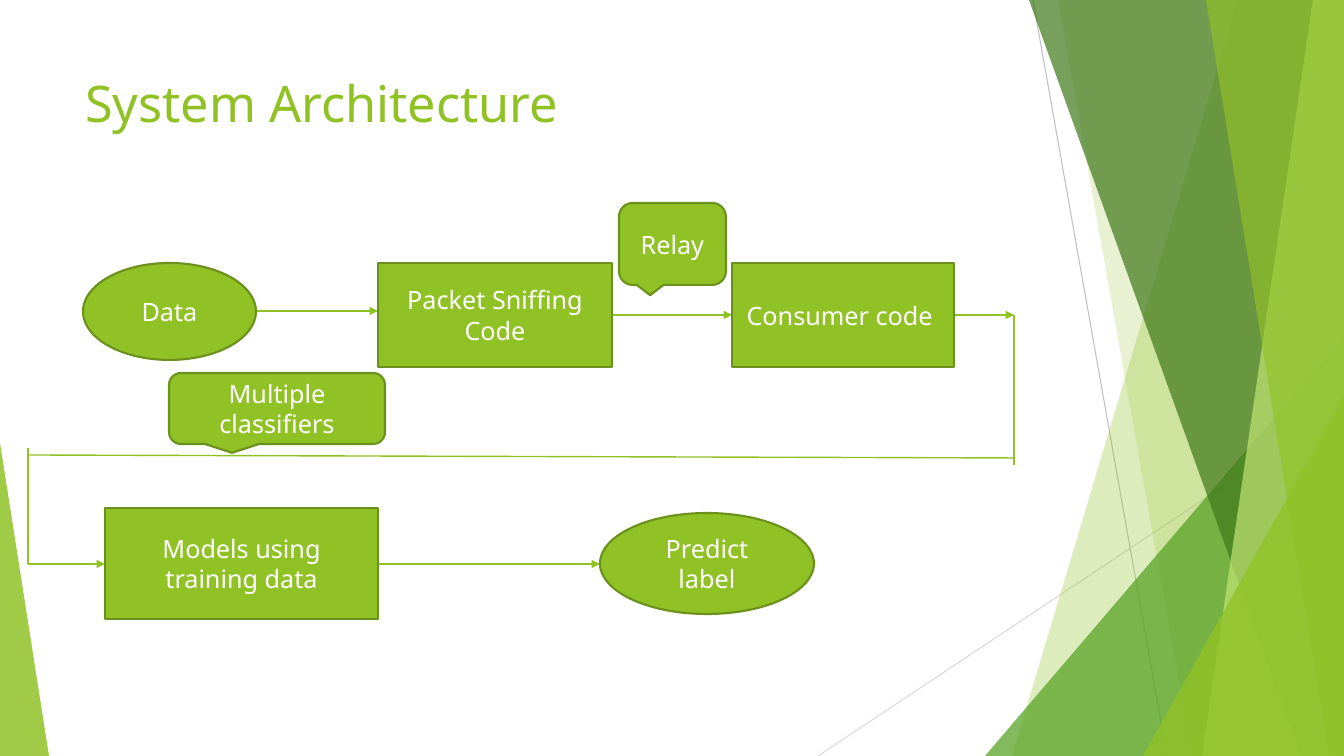
"""Build the System Architecture slide: a data flow over green facets."""
from dataclasses import dataclass

from pptx import Presentation
from pptx.dml.color import RGBColor
from pptx.enum.shapes import MSO_CONNECTOR, MSO_SHAPE
from pptx.enum.text import MSO_ANCHOR, PP_ALIGN
from pptx.oxml.ns import qn
from pptx.oxml.xmlchemy import OxmlElement
from pptx.shapes.autoshape import Shape
from pptx.text.text import _Paragraph as Para
from pptx.util import Emu, Pt

WIDE, HIGH = 1344, 756
SCALE = 12192000 / WIDE
FONT = "Noto Sans"
WHITE = RGBColor(0xFF, 0xFF, 0xFF)
LIME = RGBColor(0x90, 0xC2, 0x26)
OLIVE = RGBColor(0x6B, 0x90, 0x1C)
GREEN = RGBColor(0x54, 0xA0, 0x21)
FOREST = RGBColor(0x3F, 0x78, 0x19)
PALE = RGBColor(0xC0, 0xE4, 0x74)
GREY = RGBColor(0xBF, 0xBF, 0xBF)
SILVER = RGBColor(0xD9, 0xD9, 0xD9)


@dataclass
class Box:
    left: int
    top: int
    width: int
    height: int

    def emu(self) -> list[Emu]:
        return [px(n) for n in (self.left, self.top, self.width, self.height)]


@dataclass
class Band:
    top: int
    base: int
    color: RGBColor
    alpha: int


@dataclass
class Wedge:
    box: Box
    peak: int
    color: RGBColor
    alpha: int


@dataclass
class Node:
    text: str
    kind: MSO_SHAPE
    box: Box


@dataclass
class Link:
    start: tuple[int, int]
    end: tuple[int, int]
    arrow: bool = False
    color: RGBColor = LIME
    width: float = 1


def px(count: int) -> Emu:
    return Emu(round(count * SCALE))


def style(para: Para, size: int, color: RGBColor, align: PP_ALIGN) -> None:
    para.alignment = align
    para.font.name = FONT
    para.font.size = Pt(size)
    para.font.color.rgb = color


def tint(shape: Shape, color: RGBColor, alpha: int) -> None:
    shape.shadow.inherit = False
    shape.line.fill.background()
    shape.fill.solid()
    shape.fill.fore_color.rgb = color
    mark = OxmlElement("a:alpha")
    mark.set("val", str(alpha * 1000))
    shape.element.spPr.find(".//" + qn("a:srgbClr")).append(mark)


def draw_band(band: Band) -> None:
    pen = shapes.build_freeform(band.top, 0, SCALE)
    pen.add_line_segments([(WIDE, 0), (WIDE, HIGH), (band.base, HIGH)])
    tint(pen.convert_to_shape(), band.color, band.alpha)


def draw_wedge(wedge: Wedge) -> None:
    shape = shapes.add_shape(MSO_SHAPE.ISOSCELES_TRIANGLE, *wedge.box.emu())
    shape.adjustments[0] = wedge.peak
    tint(shape, wedge.color, wedge.alpha)


def draw_node(node: Node) -> None:
    shape = shapes.add_shape(node.kind, *node.box.emu())
    shape.shadow.inherit = False
    shape.fill.solid()
    shape.fill.fore_color.rgb = LIME
    shape.line.color.rgb = OLIVE
    shape.line.width = Pt(1.5)
    frame = shape.text_frame
    frame.text = node.text
    frame.word_wrap = True
    frame.vertical_anchor = MSO_ANCHOR.MIDDLE
    style(frame.paragraphs[0], 18, WHITE, PP_ALIGN.CENTER)


def draw_link(link: Link) -> None:
    ends = [px(n) for n in link.start + link.end]
    line = shapes.add_connector(MSO_CONNECTOR.STRAIGHT, *ends)
    line.line.color.rgb = link.color
    line.line.width = Pt(link.width)
    if link.arrow:
        head = OxmlElement("a:tailEnd")
        head.set("type", "triangle")
        line.get_or_add_ln().append(head)
    line.element.spPr.append(OxmlElement("a:effectLst"))


RAYS = [
    Link((1033, 0), (1167, HIGH), color=GREY, width=0.75),
    Link((WIDE, 406), (818, HIGH), color=SILVER, width=0.75),
]
FACETS = [
    Band(1238, 1012, LIME, 30),
    Band(1058, 1192, LIME, 20),
    Wedge(Box(985, 336, 359, 420), 1, GREEN, 72),
    Band(1029, 1301, FOREST, 70),
    Band(1313, 1202, PALE, 70),
    Band(1206, 1329, LIME, 65),
    Wedge(Box(1143, 396, 201, 360), 1, LIME, 80),
    Wedge(Box(0, 443, 49, 313), 0, LIME, 85),
]
OVAL, RECT = MSO_SHAPE.OVAL, MSO_SHAPE.RECTANGLE
NOTE = MSO_SHAPE.ROUNDED_RECTANGULAR_CALLOUT
NODES = [
    Node("Data", OVAL, Box(83, 263, 173, 97)),
    Node("Predict label", OVAL, Box(600, 513, 214, 101)),
    Node("Packet Sniffing Code", RECT, Box(378, 263, 234, 104)),
    Node("Consumer code ", RECT, Box(732, 263, 222, 104)),
    Node("Models using training data", RECT, Box(105, 508, 273, 111)),
    Node("Relay", NOTE, Box(619, 203, 107, 82)),
    Node("Multiple classifiers", NOTE, Box(169, 373, 216, 71)),
]
LINKS = [
    Link((256, 311), (378, 311), True),
    Link((612, 315), (732, 315), True),
    Link((378, 564), (600, 564), True),
    Link((954, 315), (1014, 315), True),
    Link((28, 564), (105, 564), True),
    Link((1014, 315), (1014, 465)),
    Link((28, 564), (28, 448)),
    Link((28, 455), (1014, 458)),
]

deck = Presentation()
deck.slide_width, deck.slide_height = px(WIDE), px(HIGH)
slide = deck.slides.add_slide(deck.slide_layouts[5])
shapes = slide.shapes

for ray in RAYS:
    draw_link(ray)
for facet in FACETS:
    if isinstance(facet, Band):
        draw_band(facet)
    else:
        draw_wedge(facet)
for link in LINKS:
    draw_link(link)
for node in NODES:
    draw_node(node)

title = shapes.title
title.left, title.top, title.width, title.height = Box(75, 67, 948, 145).emu()
title.text_frame.text = "System Architecture"
title.text_frame.vertical_anchor = MSO_ANCHOR.TOP
style(title.text_frame.paragraphs[0], 36, LIME, PP_ALIGN.LEFT)

deck.save("out.pptx")
